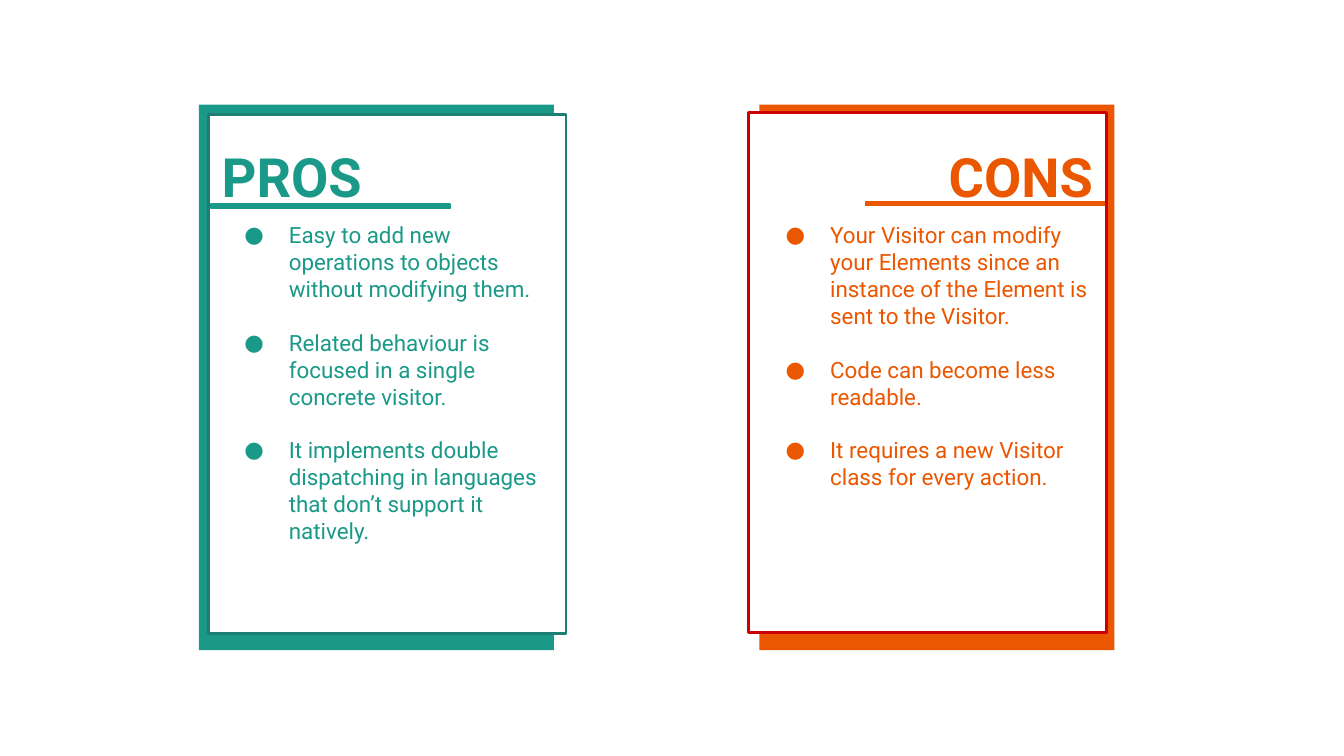
import pptx
import pptx.dml.color
import pptx.enum.shapes
import pptx.enum.text
import pptx.oxml.ns
import pptx.util
from lxml import etree
from pptx.util import Cm

RGBColor = pptx.dml.color.RGBColor
Align = pptx.enum.text.PP_ALIGN

TEAL = RGBColor(0x1A, 0x99, 0x88)
DARK_TEAL = RGBColor(0x1D, 0x7E, 0x74)
ORANGE = RGBColor(0xEB, 0x56, 0x00)
RED = RGBColor(0xCC, 0x00, 0x00)
WHITE = RGBColor(0xFF, 0xFF, 0xFF)

FONT = "Roboto"
INSET = Cm(0.25)
PROS = [
    "Easy to add new operations to objects without modifying them.",
    "Related behaviour is focused in a single concrete visitor.",
    "It implements double dispatching in languages that don’t support it natively.",
]
CONS = [
    "Your Visitor can modify your Elements since an instance of the Element is "
    "sent to the Visitor.",
    "Code can become less readable.",
    "It requires a new Visitor class for every action.",
]


def add_rectangle(shapes, box, fill, line=None, line_width=0.75):
    shape = shapes.add_shape(
        pptx.enum.shapes.MSO_SHAPE.RECTANGLE, *[Cm(length) for length in box]
    )
    shape.shadow.inherit = False
    shape.fill.solid()
    shape.fill.fore_color.rgb = fill
    if line is None:
        shape.line.fill.background()
    else:
        shape.line.color.rgb = line
        shape.line.width = pptx.util.Pt(line_width)


def add_text_frame(shapes, box):
    frame = shapes.add_textbox(*[Cm(length) for length in box]).text_frame
    frame.word_wrap = True
    frame.margin_left = frame.margin_right = INSET
    frame.margin_top = frame.margin_bottom = INSET
    return frame


def add_run(paragraph, text, size, color, bold=False):
    run = paragraph.add_run()
    run.text = text
    run.font.name = FONT
    run.font.size = pptx.util.Pt(size)
    run.font.bold = bold
    run.font.color.rgb = color


def set_bullet(paragraph, color):
    properties = paragraph._p.get_or_add_pPr()
    properties.set("marL", str(Cm(1.27)))
    properties.set("indent", str(-Cm(0.84)))
    qualified = pptx.oxml.ns.qn
    bullet_color = etree.SubElement(properties, qualified("a:buClr"))
    etree.SubElement(bullet_color, qualified("a:srgbClr"), val=str(color))
    etree.SubElement(properties, qualified("a:buFont"), typeface=FONT)
    etree.SubElement(properties, qualified("a:buChar"), char="●")


def add_title(shapes, box, text, color, alignment):
    paragraph = add_text_frame(shapes, box).paragraphs[0]
    paragraph.alignment = alignment
    add_run(paragraph, text, 29, color, bold=True)


def add_bullet_list(shapes, box, items, color):
    frame = add_text_frame(shapes, box)
    for index, item in enumerate(items):
        paragraph = frame.paragraphs[0] if index == 0 else frame.add_paragraph()
        if index:
            paragraph.space_before = pptx.util.Pt(14.4)
        set_bullet(paragraph, color)
        add_run(paragraph, item, 12, color)


def add_card(slide, title, items, color, border, alignment,
             back_left, front, title_box, list_box, underline):
    shapes = slide.shapes.add_group_shape().shapes
    add_rectangle(shapes, (back_left, 1.98, 6.71, 10.31), color)
    add_rectangle(shapes, (*front, 6.76, 9.82), WHITE, border, 1.5)
    add_title(shapes, title_box, title, color, alignment)
    add_bullet_list(shapes, list_box, items, color)
    add_rectangle(slide.shapes, (*underline, 4.52, 0.08), color, color)


def main():
    presentation = pptx.Presentation()
    presentation.slide_width = Cm(25.4)
    presentation.slide_height = Cm(14.29)
    slide = presentation.slides.add_slide(presentation.slide_layouts[6])
    add_card(
        slide, "PROS", PROS, TEAL, DARK_TEAL, Align.LEFT,
        back_left=3.76, front=(3.94, 2.16),
        title_box=(3.94, 2.46, 5.99, 1.7), list_box=(3.94, 3.94, 6.71, 8.05),
        underline=(3.99, 3.86),
    )
    add_card(
        slide, "CONS", CONS, ORANGE, RED, Align.RIGHT,
        back_left=14.35, front=(14.15, 2.13),
        title_box=(14.53, 2.46, 6.38, 1.7), list_box=(14.17, 3.94, 6.71, 7.85),
        underline=(16.36, 3.81),
    )
    presentation.save("out.pptx")


if __name__ == "__main__":
    main()
